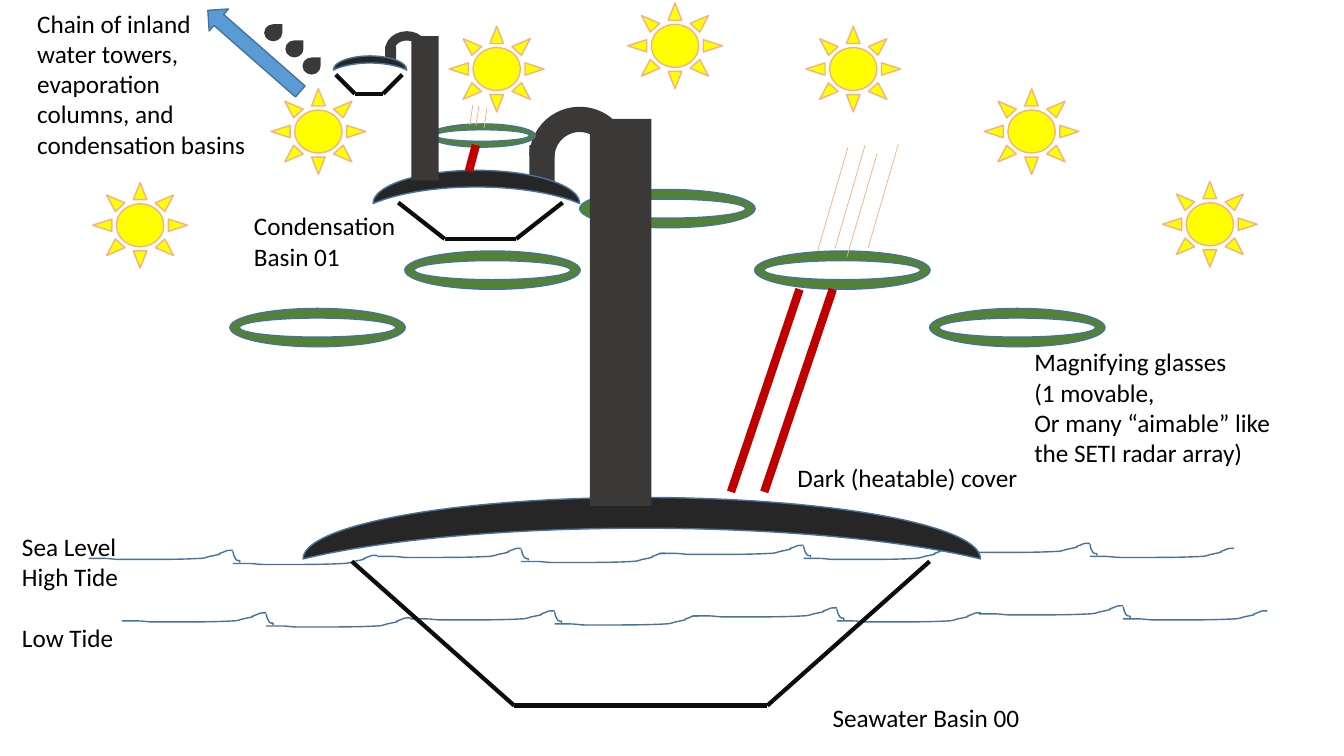
from dataclasses import dataclass

from pptx import Presentation
from pptx.dml.color import RGBColor
from pptx.enum.shapes import MSO_CONNECTOR, MSO_SHAPE
from pptx.enum.text import MSO_AUTO_SIZE
from pptx.oxml.xmlchemy import OxmlElement
from pptx.shapes.autoshape import Shape
from pptx.shapes.shapetree import GroupShapes, SlideShapes
from pptx.util import Inches, Pt

STRAIGHT = MSO_CONNECTOR.STRAIGHT
RECTANGLE, BLOCK_ARC, MOON = MSO_SHAPE.RECTANGLE, MSO_SHAPE.BLOCK_ARC, MSO_SHAPE.MOON
SUN, DONUT, TEAR, LEFT_ARROW = MSO_SHAPE.SUN, MSO_SHAPE.DONUT, MSO_SHAPE.TEAR, MSO_SHAPE.LEFT_ARROW
FIT_SHAPE = MSO_AUTO_SIZE.SHAPE_TO_FIT_TEXT

BLACK = RGBColor(0x00, 0x00, 0x00)
OUTLINE_BLUE = RGBColor(0x43, 0x73, 0x9E)
ARROW_BLUE = RGBColor(0x5B, 0x9B, 0xD5)
BASIN_BLACK = RGBColor(0x0D, 0x0D, 0x0D)
COVER_BLACK = RGBColor(0x26, 0x26, 0x26)
COLUMN_GREY = RGBColor(0x3B, 0x38, 0x38)
SUN_YELLOW = RGBColor(0xFF, 0xFF, 0x00)
RAY_ORANGE = RGBColor(0xF4, 0xB1, 0x83)
LENS_GREEN = RGBColor(0x54, 0x82, 0x35)
BEAM_RED = RGBColor(0xC0, 0x00, 0x00)

Shapes = SlideShapes | GroupShapes
Point = tuple[float, float]


@dataclass(frozen=True)
class Box:
    left: float
    top: float
    width: float
    height: float


@dataclass(frozen=True)
class Label:
    box: Box
    text: str
    wrap: bool = False
    last_line_gap: float = 0


@dataclass(frozen=True)
class Basin:
    rim_left: Point
    rim_right: Point
    floor_left: Point
    floor_right: Point
    cover: Box


@dataclass(frozen=True)
class Column:
    tower: Box
    bend: Box
    spout: Box


@dataclass(frozen=True)
class Line:
    start: Point
    end: Point


SWELL = [
    (0, 0.08), (0.05, 0.08), (0.11, 0.08), (0.16, 0.08), (0.21, 0.08), (0.25, 0.09), (0.3, 0.09),
    (0.38, 0.09), (0.45, 0.09), (0.53, 0.09), (0.72, 0.09), (0.91, 0.09), (1.1, 0.08),
    (1.14, 0.08), (1.17, 0.07), (1.2, 0.06), (1.4, 0.02), (1.23, 0.05), (1.33, 0.02),
    (1.38, 0), (1.36, 0), (1.43, 0),
]
CREST = [(0, 0), (0.01, 0.03), (0.01, 0.06), (0.03, 0.08), (0.06, 0.11), (0.07, 0.07), (0.07, 0.11)]
SWELL_PAIRS = [(0.88, 5.46), (3.74, 5.44), (6.54, 5.41), (9.38, 5.39)]
SWELL_LENGTH = 1.43
LOW_TIDE_SHIFT = (0.33, 0.62)

SUN_TOPS = [1.81, 0.88, 0.26, 0.03, 0.26, 0.88, 1.8]
LENS_TOPS = [3.06, 2.49, 1.88, 2.49, 3.06]
DROPS = [(2.83, 0.4), (2.62, 0.24), (3, 0.57)]

SEA_BASIN = Basin((3.49, 5.57), (9.22, 5.57), (5.1, 7), (7.61, 7), Box(6.06, 1.88, 0.61, 6.72))
MIDDLE_BASIN = Basin((3.95, 2.01), (5.58, 2.01), (4.41, 2.37), (5.12, 2.37), Box(4.56, 0.83, 0.33, 2.05))
TOP_BASIN = Basin((3.33, 0.74), (3.99, 0.74), (3.52, 0.93), (3.8, 0.93), Box(3.6, 0.26, 0.14, 0.73))
SEA_COLUMN = Column(Box(5.85, 1.18, 0.61, 3.84), Box(5.25, 1.06, 1, 1), Box(5.25, 1.44, 0.25, 0.44))
TOP_COLUMN = Column(Box(4.08, 0.36, 0.27, 1.43), Box(3.82, 0.31, 0.43, 0.37), Box(3.82, 0.46, 0.11, 0.16))

SEA_RAYS = [Line((x, y), (x - 0.3, y + 1.03)) for x, y in [(8.58, 1.44), (8.7, 1.52), (8.91, 1.43), (8.41, 1.46)]]
TOP_RAYS = [Line((x, y), (x - 0.03, y + 0.2)) for x, y in [(4.75, 1.05), (4.83, 1.07), (4.69, 1.04)]]
SEA_BEAMS = [Line((x, 2.87), (x - 0.68, 4.88)) for x in (7.93, 8.26)]
TOP_BEAMS = [Line((4.72, 1.44), (4.65, 1.7))]

TIDE_LABEL = Label(Box(0.12, 5.22, 1.17, 1.31), "Sea Level\nHigh Tide\nLow Tide", last_line_gap=22)
LENS_TEXT = "Magnifying glasses\n(1 movable,\nOr many “aimable” like\nthe SETI radar array)"
CHAIN_TEXT = "Chain of inland water towers, evaporation columns, and condensation basins"
SEA_LABELS = [
    Label(Box(8.16, 6.92, 2.07, 0.4), "Seawater Basin 00"),
    Label(Box(7.81, 4.54, 2.41, 0.4), "Dark (heatable) cover"),
    Label(Box(10.16, 3.39, 2.57, 1.31), LENS_TEXT),
]
BASIN_LABEL = Label(Box(2.42, 2.04, 1.68, 0.71), "Condensation\nBasin 01")
CHAIN_LABEL = Label(Box(0.27, 0.03, 2.32, 1.62), CHAIN_TEXT, wrap=True)


def place(box: Box) -> tuple[Inches, ...]:
    return tuple(Inches(value) for value in (box.left, box.top, box.width, box.height))


def add_figure(
    shapes: Shapes, kind: MSO_SHAPE, box: Box, fill: RGBColor, line: RGBColor | None = None, rotation: float = 0
) -> Shape:
    shape = shapes.add_shape(kind, *place(box))
    shape.shadow.inherit = False
    shape.rotation = rotation
    shape.fill.solid()
    shape.fill.fore_color.rgb = fill
    if line is None:
        shape.line.fill.background()
    else:
        shape.line.color.rgb = line
        shape.line.width = Pt(1)
    return shape


def add_lines(shapes: Shapes, lines: list[Line], color: RGBColor, width: float) -> None:
    for line in lines:
        ends = [Inches(value) for value in (*line.start, *line.end)]
        connector = shapes.add_connector(STRAIGHT, *ends)
        connector.line.color.rgb = color
        connector.line.width = Pt(width)
        connector._element.spPr.append(OxmlElement("a:effectLst"))


def add_wave(shapes: Shapes, left: float, top: float, points: list[Point]) -> None:
    placed = [(Inches(left + x), Inches(top + y)) for x, y in points]
    builder = shapes.build_freeform(*placed[0])
    builder.add_line_segments(placed[1:], close=False)
    wave = builder.convert_to_shape()
    segments = wave._element.xpath(".//a:lnTo")
    for index in range(0, len(segments), 3):
        curve = OxmlElement("a:cubicBezTo")
        segments[index].addprevious(curve)
        for segment in segments[index:index + 3]:
            curve.append(segment[0])
            segment.getparent().remove(segment)
    wave.shadow.inherit = False
    wave.fill.background()
    wave.line.color.rgb = OUTLINE_BLUE
    wave.line.width = Pt(1)


def add_tide(shapes: Shapes, shift: Point) -> None:
    group = shapes.add_group_shape().shapes
    for x, y in SWELL_PAIRS:
        left, top = x + shift[0], y + shift[1]
        add_wave(group, left, top, SWELL)
        add_wave(group, left + SWELL_LENGTH, top + 0.05, SWELL)
        add_wave(group, left + SWELL_LENGTH, top + 0.01, CREST)


def add_basin(shapes: Shapes, basin: Basin) -> None:
    corners = [basin.rim_left, basin.floor_left, basin.floor_right, basin.rim_right]
    sides = [Line(start, end) for start, end in zip(corners, corners[1:])]
    add_lines(shapes.add_group_shape().shapes, sides, BASIN_BLACK, 3)
    add_figure(shapes, MOON, basin.cover, COVER_BLACK, OUTLINE_BLUE, 90)


def add_column(shapes: Shapes, column: Column) -> None:
    add_figure(shapes, RECTANGLE, column.tower, COLUMN_GREY)
    bend = add_figure(shapes, BLOCK_ARC, column.bend, COLUMN_GREY)
    for index, value in enumerate((108.772, 0, 0.25)):
        bend.adjustments[index] = value
    add_figure(shapes, RECTANGLE, column.spout, COLUMN_GREY)


def add_label(shapes: Shapes, label: Label) -> None:
    text_frame = shapes.add_textbox(*place(label.box)).text_frame
    text_frame.word_wrap = label.wrap
    text_frame.auto_size = FIT_SHAPE
    text_frame.text = label.text
    for paragraph in text_frame.paragraphs:
        font = paragraph.runs[0].font
        font.name, font.size, font.color.rgb = "Calibri", Pt(18), BLACK
    text_frame.paragraphs[-1].space_before = Pt(label.last_line_gap)


def main() -> None:
    presentation = Presentation()
    presentation.slide_width, presentation.slide_height = Inches(13.33), Inches(7.5)
    shapes = presentation.slides.add_slide(presentation.slide_layouts[6]).shapes
    add_tide(shapes, (0, 0))
    add_label(shapes, TIDE_LABEL)
    add_tide(shapes, LOW_TIDE_SHIFT)
    add_basin(shapes, SEA_BASIN)
    for index, top in enumerate(SUN_TOPS):
        add_figure(shapes, SUN, Box(0.92 + 10.61 * index / 6, top, 0.94, 0.85), SUN_YELLOW, RAY_ORANGE)
    for index, top in enumerate(LENS_TOPS):
        add_figure(shapes, DONUT, Box(2.28 + 6.94 * index / 4, top, 1.74, 0.38), LENS_GREEN, OUTLINE_BLUE)
    for label in SEA_LABELS:
        add_label(shapes, label)
    add_lines(shapes, SEA_RAYS, RAY_ORANGE, 0.5)
    add_lines(shapes, SEA_BEAMS, BEAM_RED, 6)
    add_column(shapes, SEA_COLUMN)
    add_basin(shapes, MIDDLE_BASIN)
    add_label(shapes, BASIN_LABEL)
    add_figure(shapes, DONUT, Box(4.26, 1.23, 1.05, 0.23), LENS_GREEN, OUTLINE_BLUE)
    add_lines(shapes, TOP_RAYS, RAY_ORANGE, 0.5)
    add_lines(shapes, TOP_BEAMS, BEAM_RED, 6)
    add_column(shapes.add_group_shape().shapes, TOP_COLUMN)
    add_basin(shapes, TOP_BASIN)
    for left, top in DROPS:
        add_figure(shapes, TEAR, Box(left, top, 0.18, 0.17), COLUMN_GREY)
    add_label(shapes, CHAIN_LABEL)
    add_figure(shapes, LEFT_ARROW, Box(1.91, 0.36, 1.22, 0.29), ARROW_BLUE, OUTLINE_BLUE, 41.3)
    presentation.save("out.pptx")


if __name__ == "__main__":
    main()
